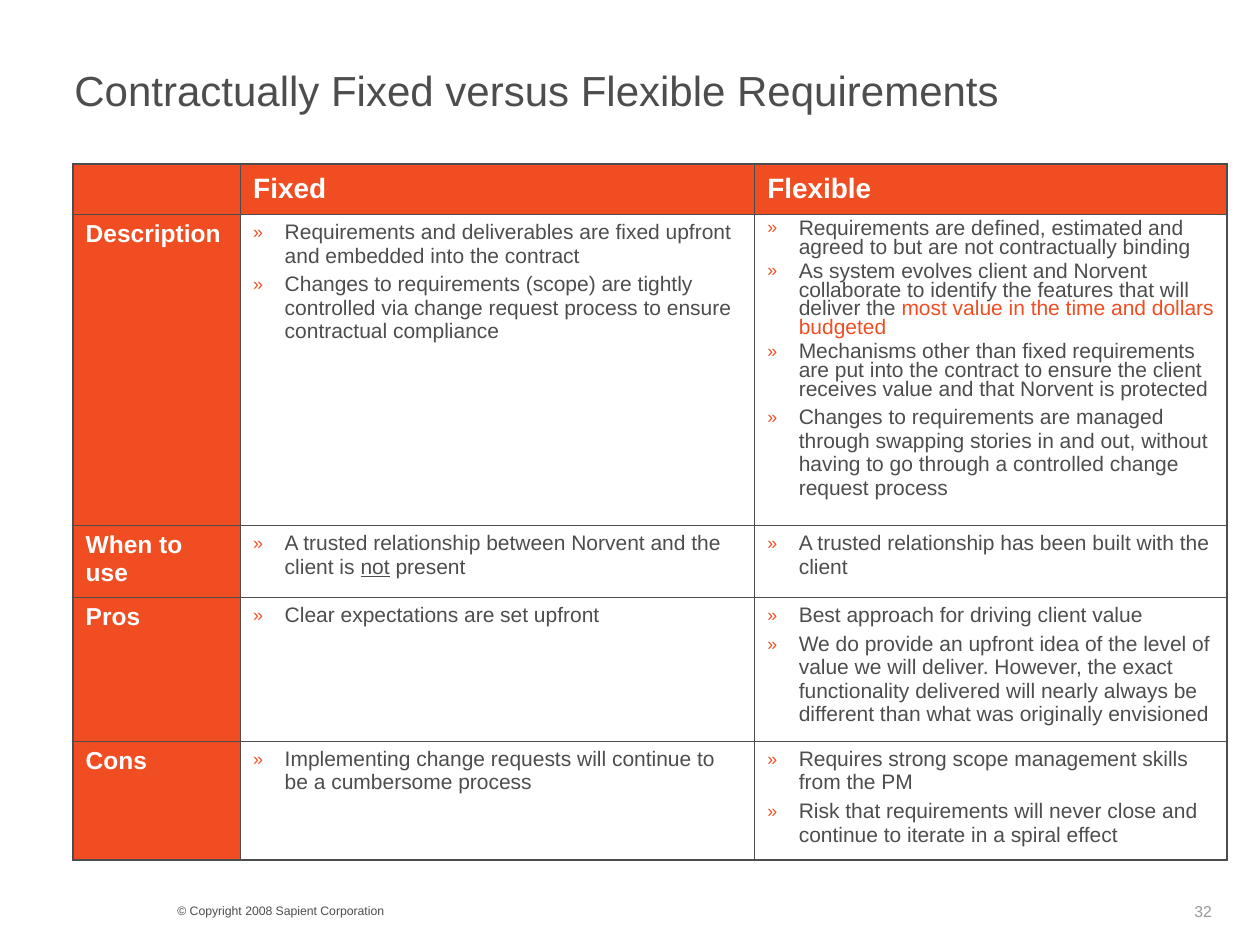
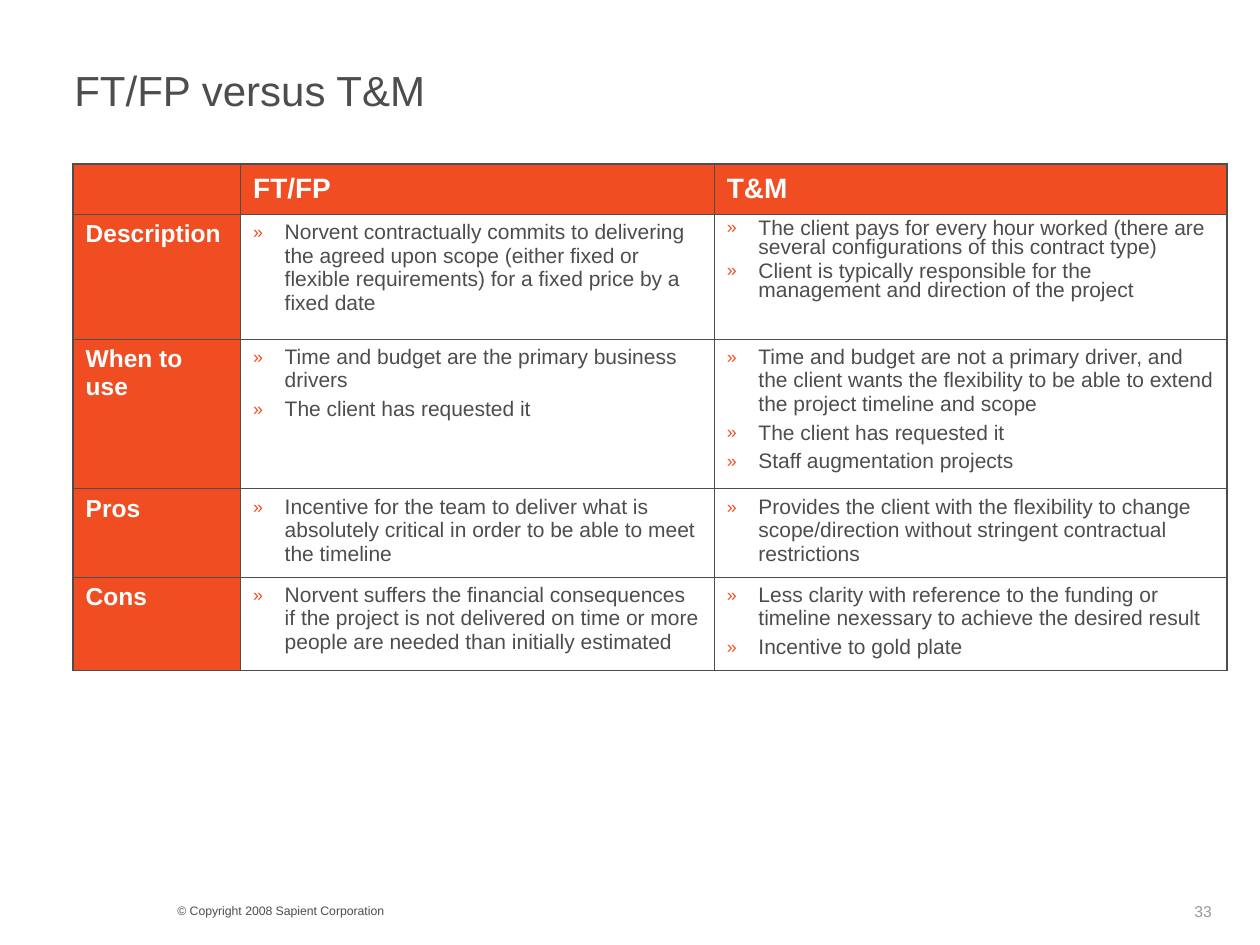
from dataclasses import dataclass

from lxml.etree import SubElement
from pptx import Presentation
from pptx.dml.color import RGBColor
from pptx.enum.text import MSO_ANCHOR as Anchor, MSO_AUTO_SIZE as AutoSize, PP_ALIGN as Align
from pptx.oxml.ns import qn
from pptx.util import Inches, Pt


@dataclass(frozen=True)
class Theme:
    face: str = "Arial"
    ink: str = "4D4D4D"
    accent: str = "F04E22"
    paper: str = "FFFFFF"
    muted: str = "999999"
    title: int = 24
    heading: int = 16
    label: int = 14
    body: int = 12
    page: int = 9
    legal: int = 7
    outer_rule: float = 1.08
    inner_rule: float = 0.45


@dataclass(frozen=True)
class Point:
    text: str
    accented: str = ""
    underlined: str = ""
    tight: bool = False


THEME = Theme()
COPYRIGHT = "© Copyright 2008 Sapient Corporation"
ROW_LABELS = ["Description", "When to use", "Pros", "Cons"]
TABLE_LEFT, TABLE_TOP = 0.58, 1.3
BULLET_INDENT = Inches(0.25)

COMPARISONS = [
    {
        "title": "Contractually Fixed versus Flexible Requirements",
        "page": 32,
        "options": ["Fixed", "Flexible"],
        "columns": [1.33, 4.08, 3.75],
        "rows": [0.4, 2.47, 0.57, 1.14, 0.94],
        "points": [
            [
                [Point("Requirements and deliverables are fixed upfront and embedded into the contract"),
                 Point("Changes to requirements (scope) are tightly controlled via change request "
                       "process to ensure contractual compliance")],
                [Point("Requirements are defined, estimated and agreed to but are not "
                       "contractually binding", tight=True),
                 Point("As system evolves client and Norvent collaborate to identify the features "
                       "that will deliver the most value in the time and dollars budgeted",
                       accented="most value in the time and dollars budgeted", tight=True),
                 Point("Mechanisms other than fixed requirements are put into the contract to "
                       "ensure the client receives value and that Norvent is protected", tight=True),
                 Point("Changes to requirements are managed through swapping stories in and out, "
                       "without having to go through a controlled change request process")],
            ],
            [
                [Point("A trusted relationship between Norvent and the client is not present",
                       underlined="not")],
                [Point("A trusted relationship has been built with the client")],
            ],
            [
                [Point("Clear expectations are set upfront")],
                [Point("Best approach for driving client value"),
                 Point("We do provide an upfront idea of the level of value we will deliver. "
                       "However, the exact functionality delivered will nearly always be "
                       "different than what was originally envisioned")],
            ],
            [
                [Point("Implementing change requests will continue to be a cumbersome process")],
                [Point("Requires strong scope management skills from the PM"),
                 Point("Risk that requirements will never close and continue to iterate in a "
                       "spiral effect")],
            ],
        ],
    },
    {
        "title": "FT/FP versus T&M",
        "page": 33,
        "options": ["FT/FP", "T&M"],
        "columns": [1.33, 3.76, 4.07],
        "rows": [0.4, 0.99, 1.19, 0.7, 0.74],
        "points": [
            [
                [Point("Norvent contractually commits to delivering the agreed upon scope (either "
                       "fixed or flexible requirements) for a fixed price by a fixed date")],
                [Point("The client pays for every hour worked (there are several configurations "
                       "of this contract type)", tight=True),
                 Point("Client is typically responsible for the management and direction of the "
                       "project", tight=True)],
            ],
            [
                [Point("Time and budget are the primary business drivers"),
                 Point("The client has requested it")],
                [Point("Time and budget are not a primary driver, and the client wants the "
                       "flexibility to be able to extend the project timeline and scope"),
                 Point("The client has requested it"),
                 Point("Staff augmentation projects")],
            ],
            [
                [Point("Incentive for the team to deliver what is absolutely critical in order to "
                       "be able to meet the timeline")],
                [Point("Provides the client with the flexibility to change scope/direction "
                       "without stringent contractual restrictions")],
            ],
            [
                [Point("Norvent suffers the financial consequences if the project is not delivered "
                       "on time or more people are needed than initially estimated")],
                [Point("Less clarity with reference to the funding or timeline nexessary to "
                       "achieve the desired result"),
                 Point("Incentive to gold plate")],
            ],
        ],
    },
]


def style(font, size, color, bold=False):
    font.name, font.size, font.bold = THEME.face, Pt(size), bold
    font.color.rgb = RGBColor.from_string(color)


def write_point(paragraph, point, is_first):
    """Fill one bulleted paragraph, setting off its emphasised words."""
    props = paragraph._p.get_or_add_pPr()
    props.set("marL", str(BULLET_INDENT))
    props.set("indent", str(-BULLET_INDENT))
    SubElement(SubElement(props, qn("a:buClr")), qn("a:srgbClr"), val=THEME.accent)
    SubElement(props, qn("a:buSzPct"), val="85000")
    SubElement(props, qn("a:buFont"), typeface=THEME.face)
    SubElement(props, qn("a:buChar"), char="»")
    paragraph.space_before = Pt(0 if is_first else 3)
    if point.tight:
        paragraph.line_spacing = 0.8
    emphasis = point.accented or point.underlined
    pieces = point.text.partition(emphasis) if emphasis else [point.text]
    for piece in filter(None, pieces):
        run = paragraph.add_run()
        run.text = piece
        style(run.font, THEME.body, THEME.accent if piece == point.accented else THEME.ink)
        if piece == point.underlined:
            run.font.underline = True


deck = Presentation()
deck.slide_width, deck.slide_height = Inches(10), Inches(7.5)
title_only = deck.slide_layouts[5]

for comparison in COMPARISONS:
    slide = deck.slides.add_slide(title_only)

    heading = slide.shapes.title
    heading.left, heading.top = Inches(0.49), Inches(0.44)
    heading.width, heading.height = Inches(9.01), Inches(0.55)
    heading.text_frame.text = comparison["title"]
    heading.text_frame.auto_size = AutoSize.NONE
    heading.text_frame.vertical_anchor = Anchor.MIDDLE
    heading.text_frame.paragraphs[0].alignment = Align.LEFT
    style(heading.text_frame.paragraphs[0].runs[0].font, THEME.title, THEME.ink)

    # Footer
    for text, left, top, width, height, size, color, wraps in [
        (COPYRIGHT, 1.31, 7.12, 4, 0.22, THEME.legal, THEME.ink, True),
        (str(comparison["page"]), 9.38, 7.11, 0.75, 0.24, THEME.page, THEME.muted, False),
    ]:
        footer = slide.shapes.add_textbox(
            Inches(left), Inches(top), Inches(width), Inches(height)).text_frame
        footer.text = text
        footer.word_wrap = wraps
        style(footer.paragraphs[0].runs[0].font, size, color)

    # Comparison table
    columns, rows = comparison["columns"], comparison["rows"]
    table = slide.shapes.add_table(
        len(rows), len(columns), Inches(TABLE_LEFT), Inches(TABLE_TOP),
        Inches(sum(columns)), Inches(sum(rows))).table
    table.first_row = table.horz_banding = False
    for column, width in zip(table.columns, columns):
        column.width = Inches(width)
    for row, height in zip(table.rows, rows):
        row.height = Inches(height)

    last_row, last_column = len(rows) - 1, len(columns) - 1
    for r in range(len(rows)):
        for c in range(len(columns)):
            cell = table.cell(r, c)
            on_edge = {"lnL": c == 0, "lnR": c == last_column, "lnT": r == 0, "lnB": r == last_row}
            for side, is_outer in on_edge.items():
                weight = THEME.outer_rule if is_outer else THEME.inner_rule
                rule = SubElement(cell._tc.get_or_add_tcPr(), qn(f"a:{side}"), w=str(Pt(weight)))
                SubElement(SubElement(rule, qn("a:solidFill")), qn("a:srgbClr"), val=THEME.ink)

            is_header = r == 0 or c == 0
            cell.fill.solid()
            cell.fill.fore_color.rgb = RGBColor.from_string(
                THEME.accent if is_header else THEME.paper)
            cell.vertical_anchor = Anchor.MIDDLE if r == 0 else Anchor.TOP
            if is_header:
                cell.text = (["", *comparison["options"]][c] if r == 0 else ROW_LABELS[r - 1])
                style(cell.text_frame.paragraphs[0].font,
                      THEME.heading if r == 0 else THEME.label, THEME.paper, bold=True)
                continue
            for i, point in enumerate(comparison["points"][r - 1][c - 1]):
                frame = cell.text_frame
                paragraph = frame.paragraphs[0] if i == 0 else frame.add_paragraph()
                write_point(paragraph, point, is_first=i == 0)

deck.save("out.pptx")
